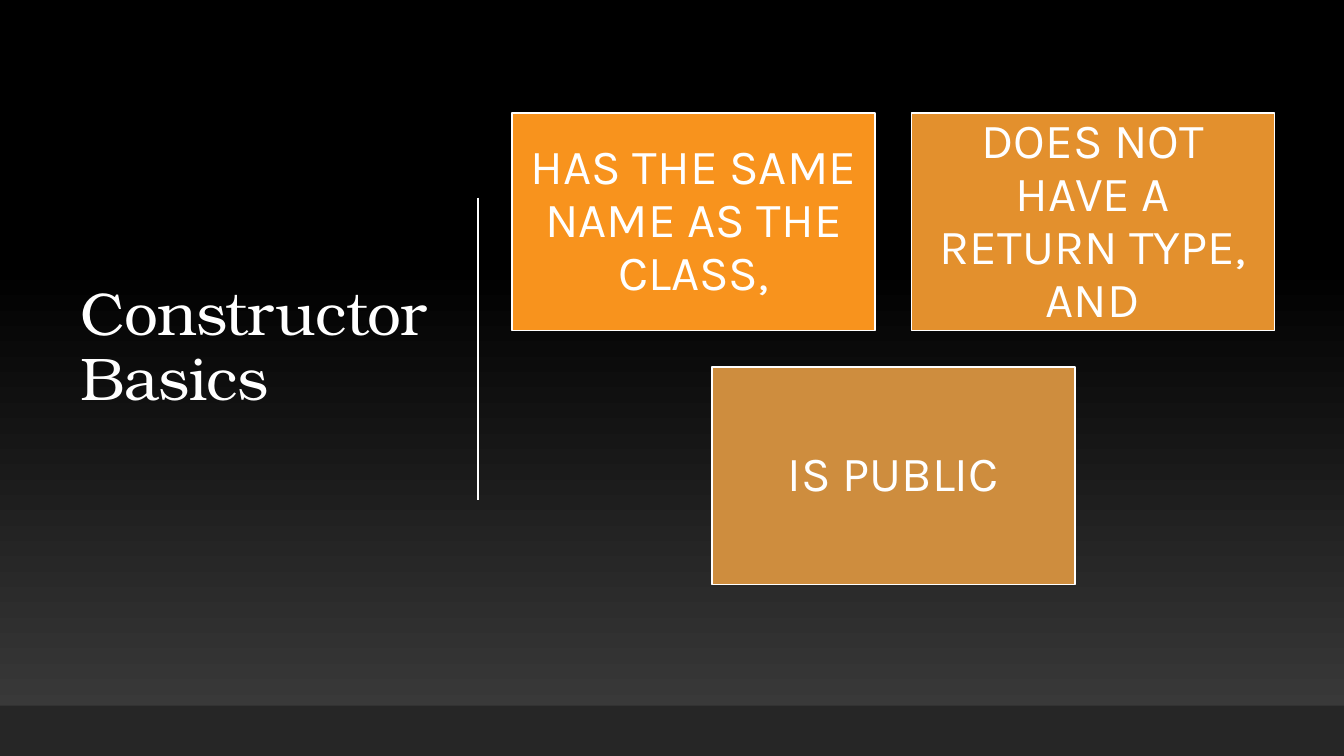
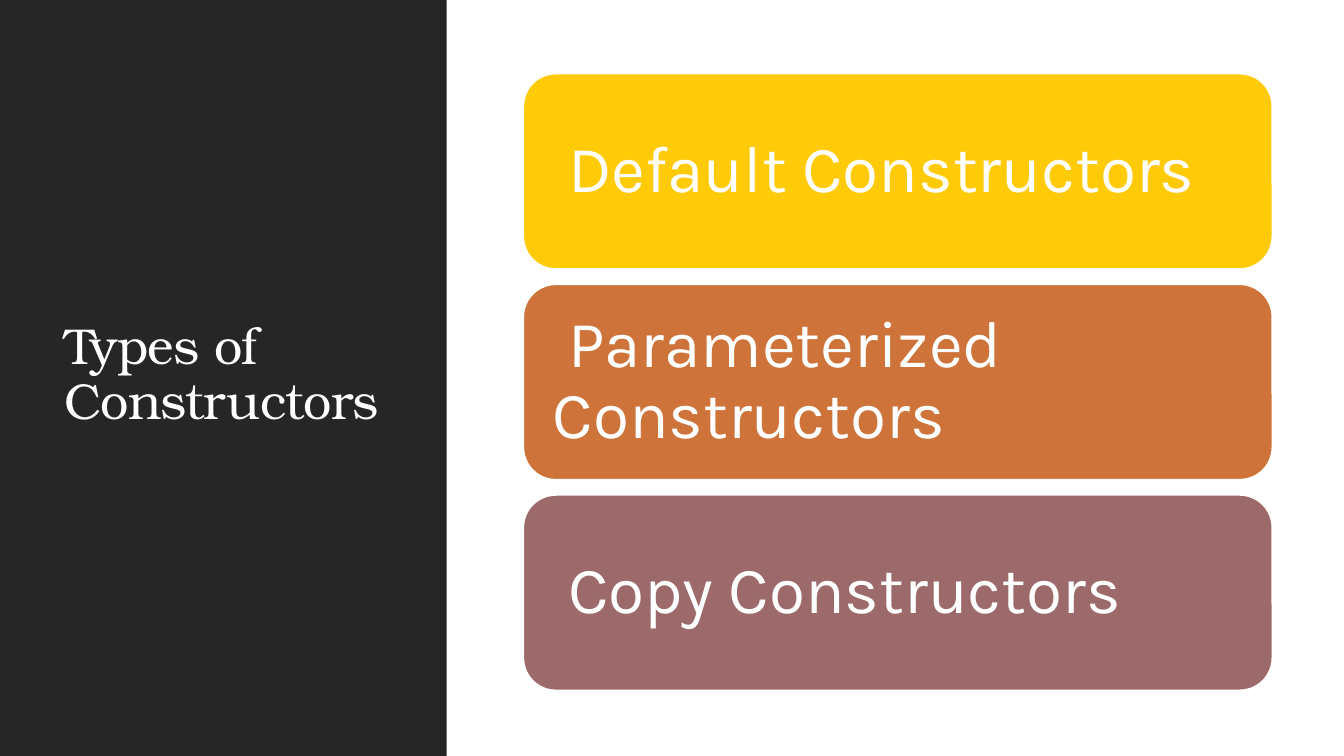
from dataclasses import dataclass

from lxml import etree
from pptx import Presentation
from pptx import util as u
from pptx.dml.color import RGBColor
from pptx.enum import shapes, text
from pptx.oxml import ns


@dataclass(frozen=True)
class Theme:
    white: str = "FFFFFF"
    black: str = "000000"
    charcoal: str = "262626"
    glow: str = "3F3F3F"
    basics: tuple = ("F8931D", "E3902D", "CE8D3E")
    types: tuple = ("FFCA08", "CE7339", "9C6A6A")
    title_font: str = "TeX Gyre Bonum"
    body_font: str = "Karla"
    basics_title: int = 43
    types_title: int = 36
    basics_body: int = 35
    types_body: int = 47
    outline: float = 1.25


theme = Theme()


def add_block(slide, kind, box, fill, outline=None):
    block = slide.shapes.add_shape(kind, *[u.Inches(n) for n in box])
    block.shadow.inherit = False
    block.fill.solid()
    block.fill.fore_color.rgb = RGBColor.from_string(fill)
    if outline:
        block.line.color.rgb = RGBColor.from_string(outline)
        block.line.width = u.Pt(theme.outline)
    else:
        block.line.fill.background()
    return block


def write(holder, words, font, size, align, inset):
    frame = holder.text_frame
    frame.text = words
    frame.word_wrap = True
    frame.vertical_anchor = text.MSO_ANCHOR.MIDDLE
    frame.margin_left = frame.margin_right = u.Inches(inset)
    frame.margin_top = frame.margin_bottom = u.Inches(min(inset, 0.15))
    paragraph = frame.paragraphs[0]
    paragraph.alignment = align
    paragraph.line_spacing = 0.9
    run = paragraph.runs[0]
    run.font.name = font
    run.font.size = u.Pt(size)
    run.font.color.rgb = RGBColor.from_string(theme.white)
    return paragraph


deck = Presentation()
deck.slide_width = u.Inches(13.33)
deck.slide_height = u.Inches(7.5)
basics = deck.slides.add_slide(deck.slide_layouts[6])
types = deck.slides.add_slide(deck.slide_layouts[6])

backdrop = basics.background.fill
backdrop.gradient()
backdrop.gradient_angle = 90
for stop, position, color in zip(
    backdrop.gradient_stops, (0, 0.65), (theme.glow, theme.black)
):
    stop.position = position
    stop.color.rgb = RGBColor.from_string(color)

add_block(basics, shapes.MSO_SHAPE.RECTANGLE, (0, 7, 13.33, 0.5), theme.charcoal)
add_block(types, shapes.MSO_SHAPE.RECTANGLE, (0, 0, 4.43, 7.5), theme.charcoal)

for slide, words, box, size in (
    (basics, "Constructor Basics", (0.7, 0.69, 3.69, 5.53), theme.basics_title),
    (types, "Types of Constructors", (0.54, 0.57, 3.37, 6.31), theme.types_title),
):
    title = slide.shapes.add_textbox(*[u.Inches(n) for n in box])
    heading = write(title, words, theme.title_font, size, text.PP_ALIGN.LEFT, 0.1)
    heading.runs[0].font._element.set("spc", "-50")

divider = basics.shapes.add_connector(
    shapes.MSO_CONNECTOR.STRAIGHT,
    u.Inches(4.74), u.Inches(1.96), u.Inches(4.74), u.Inches(4.96),
)
divider.line.color.rgb = RGBColor.from_string(theme.white)
divider.line.width = u.Pt(1)
etree.SubElement(divider._element.spPr, ns.qn("a:effectLst"))

card_width, card_height, card_gap = 3.6, 2.16, 0.36
rules = (
    ("HAS THE SAME NAME AS THE CLASS,", 0, 0),
    ("DOES NOT HAVE A RETURN TYPE, AND", 1, 0),
    ("IS PUBLIC", 0.5, 1),
)
for (words, column, row), fill in zip(rules, theme.basics):
    left = 5.08 + column * (card_width + card_gap)
    top = 1.12 + row * (card_height + card_gap)
    card = add_block(
        basics, shapes.MSO_SHAPE.RECTANGLE,
        (left, top, card_width, card_height), fill, theme.white,
    )
    write(card, words, theme.body_font, theme.basics_body, text.PP_ALIGN.CENTER, 0.15)

bar_height, bar_gap = 1.94, 0.15
kinds = ("Default Constructors", "Parameterized Constructors", "Copy Constructors")
for row, (words, fill) in enumerate(zip(kinds, theme.types)):
    top = 0.73 + row * (bar_height + bar_gap)
    bar = add_block(
        types, shapes.MSO_SHAPE.ROUNDED_RECTANGLE,
        (5.19, top, 7.43, bar_height), fill, theme.white,
    )
    label = write(bar, words, theme.body_font, theme.types_body, text.PP_ALIGN.LEFT, 0.2)
    label._p.get_or_add_pPr().set("indent", str(u.Inches(0.15)))

deck.save("out.pptx")
